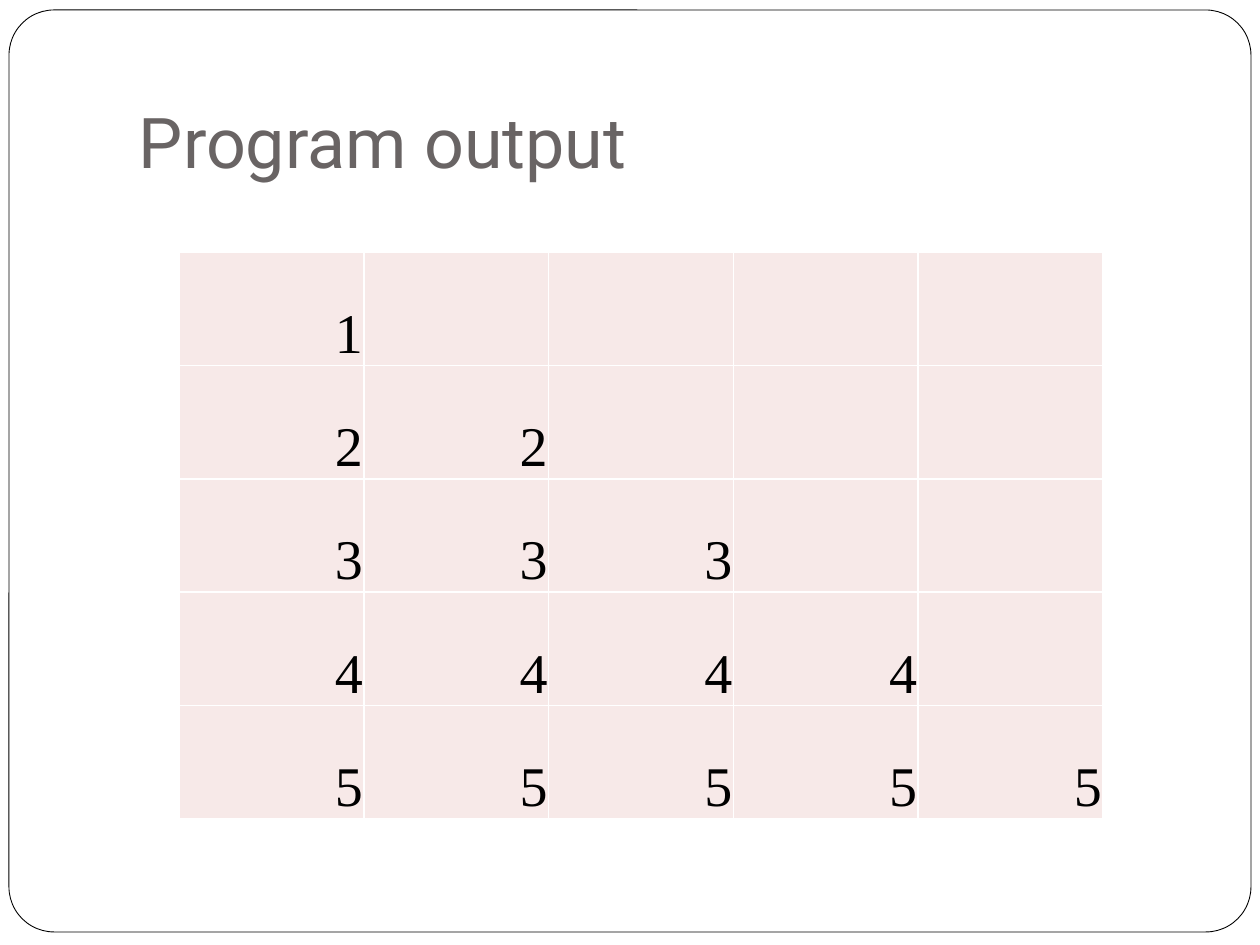
from lxml.etree import SubElement
from pptx import Presentation
from pptx.dml.color import RGBColor
from pptx.enum.shapes import MSO_SHAPE
from pptx.enum.text import MSO_ANCHOR, PP_ALIGN
from pptx.oxml.ns import qn
from pptx.util import Emu, Pt

# Content
HEADING = "Program output"
SIZE = 5
TRIANGLE = [[str(n)] * n + [""] * (SIZE - n) for n in range(1, SIZE + 1)]

# Places, in pixels at 126 to the inch
SLIDE = (1260, 945)
FRAME = (9, 10, 1242, 922)
HEADING_BOX = (126, 38, 1071, 157)
GRID = (179, 252, 924, 567)


def px(length):
    return Emu(round(length * 914400 / 126))


def box(place):
    return [px(length) for length in place]


def color(value):
    return RGBColor.from_string(value)


def add_text(paragraph, text, font, size, ink):
    run = paragraph.add_run()
    run.text = text
    run.font.name = font
    run.font.size = Pt(size)
    run.font.color.rgb = color(ink)


def set_margins(target, left, top, right, bottom):
    target.margin_left, target.margin_top = px(left), px(top)
    target.margin_right, target.margin_bottom = px(right), px(bottom)


def add_borders(cell, ink, points):
    properties = cell._tc.get_or_add_tcPr()
    for side in ("lnL", "lnR", "lnT", "lnB"):
        border = SubElement(properties, qn(f"a:{side}"), w=str(Pt(points)))
        fill = SubElement(border, qn("a:solidFill"))
        SubElement(fill, qn("a:srgbClr"), val=ink)


presentation = Presentation()
presentation.slide_width, presentation.slide_height = box(SLIDE)
slide = presentation.slides.add_slide(presentation.slide_layouts[6])

# Rounded frame
frame = slide.shapes.add_shape(MSO_SHAPE.ROUNDED_RECTANGLE, *box(FRAME))
frame.adjustments[0] = 0.049
frame.shadow.inherit = False
frame.fill.solid()
frame.fill.fore_color.rgb = color("FFFFFF")
frame.line.color.rgb = color("000000")
frame.line.width = Pt(0.5)

# Heading
heading = slide.shapes.add_textbox(*box(HEADING_BOX)).text_frame
heading.word_wrap = True
heading.vertical_anchor = MSO_ANCHOR.BOTTOM
set_margins(heading, 13, 6, 13, 13)
add_text(heading.paragraphs[0], HEADING, "Roboto", 40, "696464")

# Number triangle
triangle = slide.shapes.add_table(SIZE, SIZE, *box(GRID)).table
triangle.first_row = triangle.horz_banding = False
for row, numbers in enumerate(TRIANGLE):
    for column, number in enumerate(numbers):
        cell = triangle.cell(row, column)
        add_borders(cell, "FFFFFF", 1)
        cell.fill.solid()
        cell.fill.fore_color.rgb = color("F7E9E8")
        if number:
            cell.vertical_anchor = MSO_ANCHOR.BOTTOM
            set_margins(cell, 1, 1, 1, 0)
            paragraph = cell.text_frame.paragraphs[0]
            paragraph.alignment = PP_ALIGN.RIGHT
            add_text(paragraph, number, "Times New Roman", 32, "000000")

presentation.save("out.pptx")
